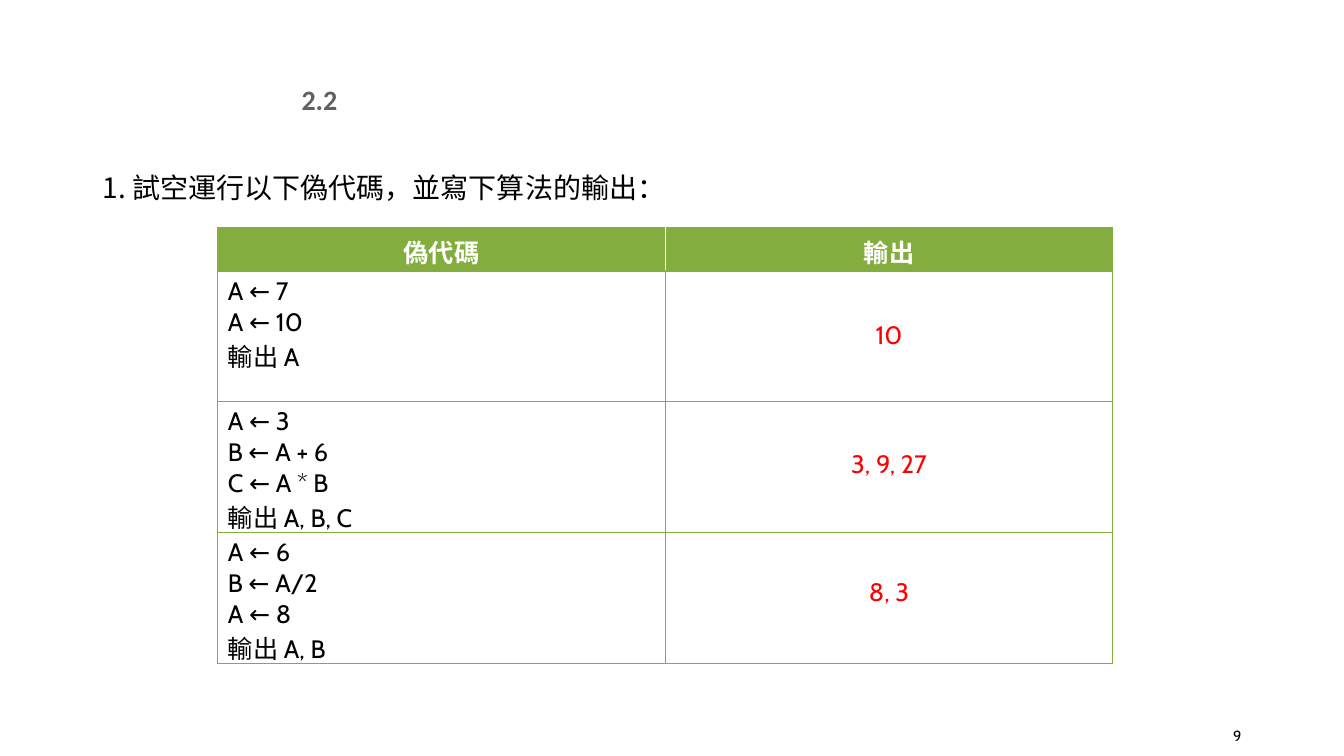
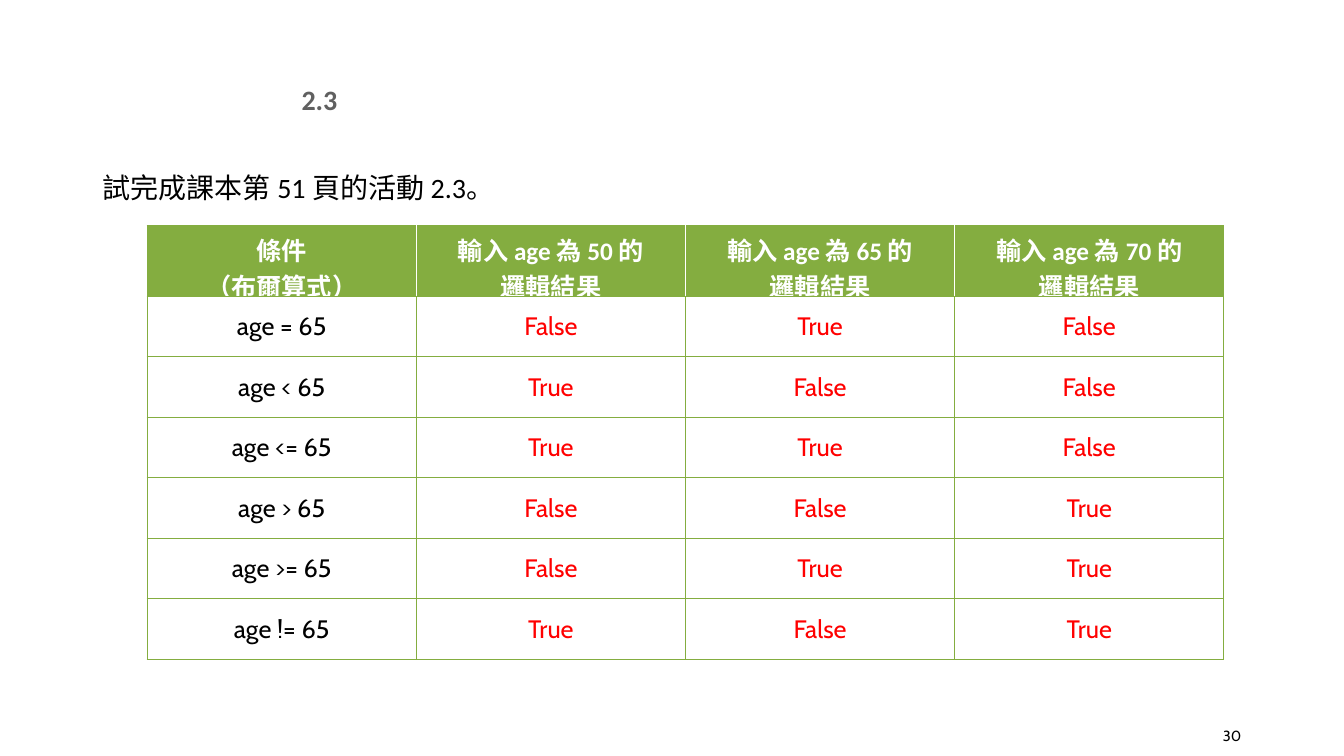
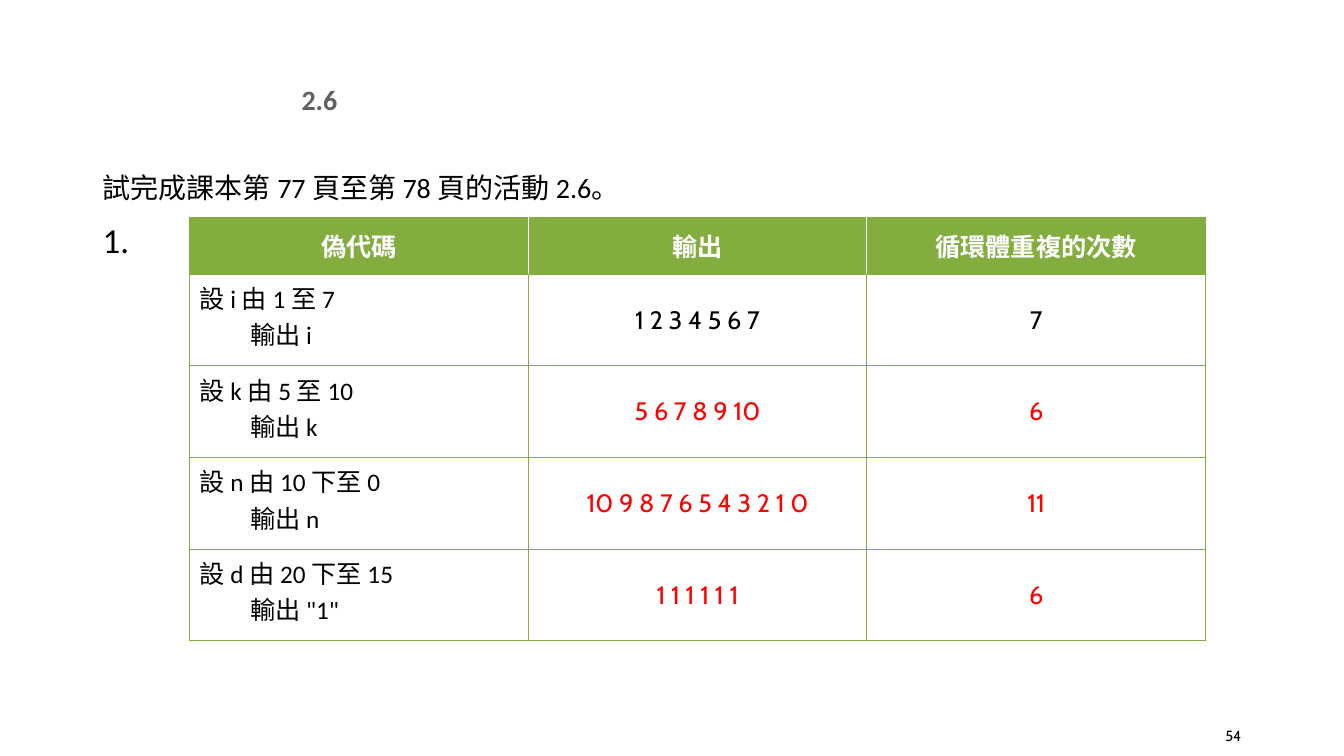
from lxml import etree
from pptx import Presentation
from pptx.dml.color import RGBColor
from pptx.enum.text import MSO_ANCHOR, MSO_AUTO_SIZE, PP_ALIGN
from pptx.oxml.ns import qn
from pptx.util import Inches, Pt

LEFT, CENTER, RIGHT = PP_ALIGN.LEFT, PP_ALIGN.CENTER, PP_ALIGN.RIGHT
TOP, MIDDLE = MSO_ANCHOR.TOP, MSO_ANCHOR.MIDDLE
NO_AUTOFIT = MSO_AUTO_SIZE.NONE

COLORS = {"green": "84AD40", "white": "FFFFFF", "black": "000000",
          "gray": "606060", "answer": "FF0000"}
CABIN, CALIBRI, CJK = "Cabin", "Calibri", "Noto Sans CJK TC"
TITLE_ONLY_LAYOUT = 5
SLIDE_WIDTH, SLIDE_HEIGHT = Inches(13.33), Inches(7.5)

# Shared places: left, top, width, height in percent of the slide
TITLE_BOX = (20.25, 11.07, 7.05, 4.13)
BODY_BOX = (6.9, 21.07, 86.25, 70.8)
NUMBER_BOX = (86.8, 94.67, 6.3, 5.33)


def across(share):
    return int(SLIDE_WIDTH * share / 100)


def down(share):
    return int(SLIDE_HEIGHT * share / 100)


def place(box):
    left, top, width, height = box
    return across(left), down(top), across(width), down(height)


def write(text_frame, text, font, size, color, bold=False, align=LEFT):
    """Fill a text frame and format each run, for Latin and Chinese text."""
    text_frame.text = text
    for paragraph in text_frame.paragraphs:
        paragraph.alignment = align
        for run in paragraph.runs:
            run.font.name = font
            run.font.size = Pt(size)
            run.font.bold = bold
            run.font.color.rgb = RGBColor.from_string(COLORS[color])
            east_asian = etree.SubElement(run.font._element, qn("a:ea"))
            east_asian.set("typeface", CJK)


def add_text(slide, box, text, font, size, color="black", align=LEFT, anchor=TOP):
    text_frame = slide.shapes.add_textbox(*place(box)).text_frame
    text_frame.word_wrap = True
    text_frame.vertical_anchor = anchor
    write(text_frame, text, font, size, color, align=align)
    return text_frame


def number_paragraph(paragraph):
    """Turn a paragraph into an automatically numbered item."""
    properties = paragraph._p.get_or_add_pPr()
    properties.set("marL", str(Inches(0.5)))
    properties.set("indent", str(-Inches(0.5)))
    size = etree.SubElement(properties, qn("a:buSzPct"))
    size.set("val", "125000")
    numbering = etree.SubElement(properties, qn("a:buAutoNum"))
    numbering.set("type", "arabicPeriod")


def add_activity_slide(presentation, title, task, page, font=CALIBRI, numbered=False):
    """Add a slide with its activity title, task line and page number."""
    slide = presentation.slides.add_slide(
        presentation.slide_layouts[TITLE_ONLY_LAYOUT])
    heading = slide.shapes.title
    heading.left, heading.top, heading.width, heading.height = place(TITLE_BOX)
    heading.text_frame.auto_size = NO_AUTOFIT
    heading.text_frame.vertical_anchor = MIDDLE
    write(heading.text_frame, title, CALIBRI, 20, "gray", True, CENTER)

    body = add_text(slide, BODY_BOX, task + ("\n " if numbered else ""), font, 20)
    for paragraph in body.paragraphs:
        paragraph.line_spacing = 1.2
    if numbered:
        body.paragraphs[1].space_before = Pt(10)
        number_paragraph(body.paragraphs[1])

    add_text(slide, NUMBER_BOX, page, CABIN, 10.5, align=RIGHT, anchor=MIDDLE)
    return slide


def set_borders(cell, left, right):
    properties = cell._tc.get_or_add_tcPr()
    sides = {"a:lnL": left, "a:lnR": right, "a:lnT": "green", "a:lnB": "green"}
    for tag, color in sides.items():
        line = etree.SubElement(properties, qn(tag), w=str(Pt(1)))
        fill = etree.SubElement(line, qn("a:solidFill"))
        etree.SubElement(fill, qn("a:srgbClr"), val=COLORS[color])


def add_grid(slide, left, top, column_width, row_heights, header, rows,
             header_font=CJK, first_font=CABIN, first_align=LEFT,
             first_anchor=TOP, anchor=MIDDLE, example_rows=0):
    """Add a table: green header, black first column, red answers."""
    column_count, row_count = len(header), len(rows) + 1
    header_height, row_height = row_heights
    box = (left, top, column_width * column_count,
           header_height + row_height * len(rows))
    table = slide.shapes.add_table(row_count, column_count, *place(box)).table
    table.horz_banding = False
    for column in table.columns:
        column.width = across(column_width)
    for index, row in enumerate(table.rows):
        row.height = down(row_height if index else header_height)

    for row_index, texts in enumerate([header] + rows):
        for column_index, text in enumerate(texts):
            cell = table.cell(row_index, column_index)
            is_header, is_first = row_index == 0, column_index == 0
            inner = "white" if is_header else "green"
            set_borders(cell, "green" if is_first else inner,
                        "green" if column_index == column_count - 1 else inner)
            cell.vertical_anchor = anchor
            if is_header:
                cell.fill.solid()
                cell.fill.fore_color.rgb = RGBColor.from_string(COLORS["green"])
                write(cell.text_frame, text, header_font, 18, "white", True, CENTER)
                continue
            cell.fill.background()
            if is_first:
                cell.vertical_anchor = first_anchor
                write(cell.text_frame, text, first_font, 18, "black",
                      align=first_align)
            elif text:
                color = "black" if row_index <= example_rows else "answer"
                write(cell.text_frame, text, CABIN, 18, color, align=CENTER)


def build_dry_run(presentation):
    slide = add_activity_slide(
        presentation, "2.2", "1. 試空運行以下偽代碼，並寫下算法的輸出：", "9", CJK)
    left, column_width = 16.2, 33.3
    programs = ["A ← 7\nA ← 10\n輸出 A",
                "A ← 3\nB ← A + 6\nC ← A * B\n輸出 A, B, C",
                "A ← 6\nB ← A/2\nA ← 8\n輸出 A, B"]
    add_grid(slide, left, 30.13, column_width, (5.73, 17.2), ["偽代碼", "輸出"],
             [[program, ""] for program in programs], anchor=TOP)

    # Answers over the output column
    middle = left + 1.5 * column_width
    answers = [("10", 4.95), ("3, 9, 27", 14.63), ("8, 3", 14.63)]
    for index, (answer, width) in enumerate(answers):
        box = (middle - width / 2, 41.6 + 17 * index, width, 5.33)
        add_text(slide, box, answer, CABIN, 18, "answer", CENTER)


def build_conditions(presentation):
    slide = add_activity_slide(
        presentation, "2.3", "試完成課本第 51 頁的活動 2.3。", "30")
    header = ["條件\n（布爾算式）"] + [
        f"輸入 age 為 {age} 的\n邏輯結果" for age in (50, 65, 70)]
    rows = [["age = 65", "False", "True", "False"],
            ["age < 65", "True", "False", "False"],
            ["age <= 65", "True", "True", "False"],
            ["age > 65", "False", "False", "True"],
            ["age >= 65", "False", "True", "True"],
            ["age != 65", "True", "False", "True"]]
    add_grid(slide, 10.95, 29.87, 20.03, (8.93, 8), header, rows,
             header_font=CALIBRI, first_align=CENTER, first_anchor=MIDDLE)


def build_loops(presentation):
    slide = add_activity_slide(
        presentation, "2.6", "試完成課本第 77 頁至第 78 頁的活動 2.6。", "54",
        numbered=True)
    rows = [["設 i 由 1 至 7\n\t輸出 i", "1 2 3 4 5 6 7", "7"],
            ["設 k 由 5 至 10\n\t輸出 k", "5 6 7 8 9 10", "6"],
            ["設 n 由 10 下至 0\n\t輸出 n", "10 9 8 7 6 5 4 3 2 1 0", "11"],
            ["設 d 由 20 下至 15\n\t輸出 \"1\"", "1 1 1 1 1 1", "6"]]
    add_grid(slide, 14.1, 28.8, 25.2, (7.47, 12.13),
             ["偽代碼", "輸出", "循環體重複的次數"], rows,
             first_font=CALIBRI, example_rows=1)


def main():
    presentation = Presentation()
    presentation.slide_width = SLIDE_WIDTH
    presentation.slide_height = SLIDE_HEIGHT
    build_dry_run(presentation)
    build_conditions(presentation)
    build_loops(presentation)
    presentation.save("out.pptx")


if __name__ == "__main__":
    main()
